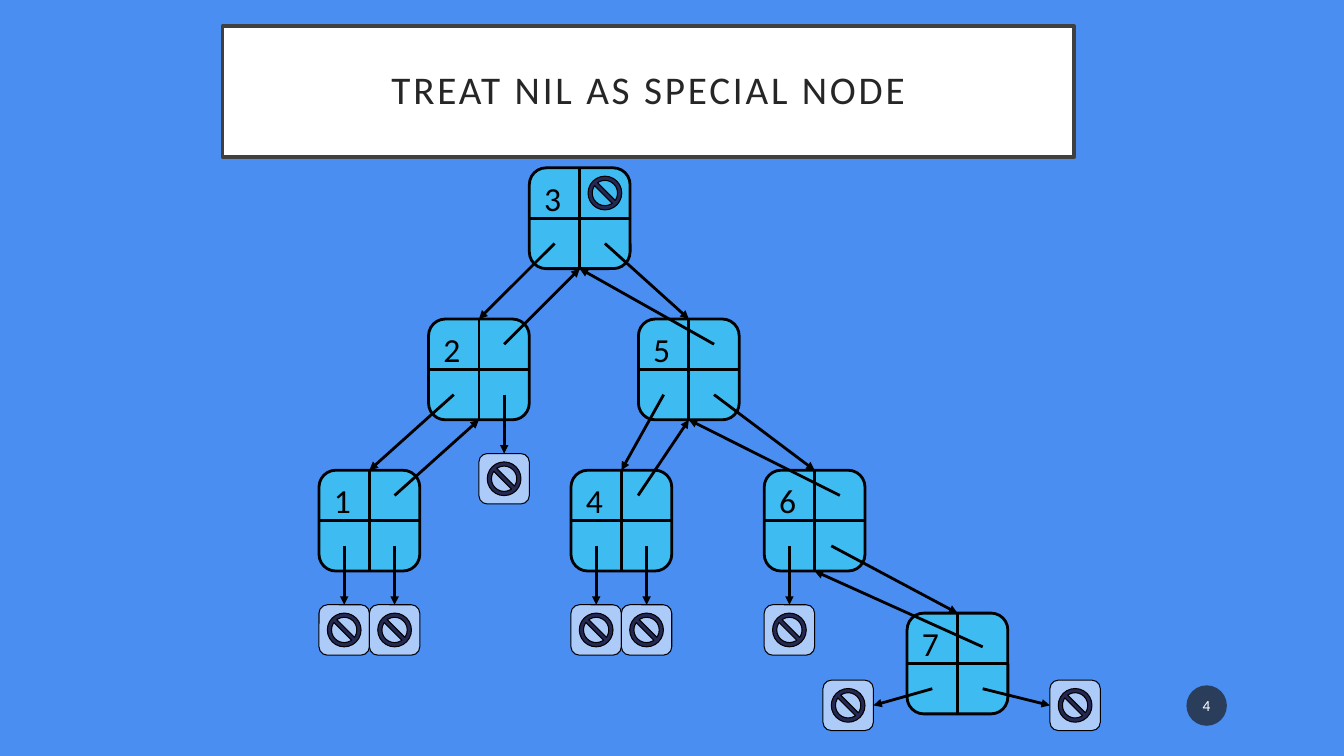
"""Build a slide showing a binary search tree with NIL as a special node."""
import pptx
import pptx.dml.color
import pptx.enum.shapes
import pptx.enum.text
import pptx.oxml
import pptx.oxml.ns
import pptx.util

Cm = pptx.util.Cm
Pt = pptx.util.Pt
RGBColor = pptx.dml.color.RGBColor
SHAPE = pptx.enum.shapes.MSO_SHAPE
ANCHOR = pptx.enum.text.MSO_ANCHOR
ALIGN = pptx.enum.text.PP_ALIGN
qn = pptx.oxml.ns.qn

FONT = "Calibri"
BLUE = RGBColor(0x4A, 0x8E, 0xF2)
NODE_FILL = RGBColor(0x3E, 0xBB, 0xF0)
NIL_FILL = RGBColor(0xAC, 0xCB, 0xF9)
NAVY = RGBColor(0x24, 0x28, 0x52)
BADGE = RGBColor(0x1D, 0x1D, 0x1D)
FRAME = RGBColor(0x40, 0x40, 0x40)
TITLE = RGBColor(0x26, 0x26, 0x26)
WHITE = RGBColor(0xFF, 0xFF, 0xFF)
BLACK = RGBColor(0, 0, 0)

NODE = 2.54
CELL = NODE / 2
LOW, HIGH = NODE / 4, NODE * 3 / 4
SIGN = 0.85

NODES = {
    "3": (13.34, 4.23), "2": (10.8, 8.04), "5": (16.09, 8.04),
    "6": (19.26, 11.85), "4": (14.39, 11.85), "7": (22.86, 15.45),
    "1": (8.04, 11.85),
}
CHILD_LINKS = [
    ("3", "5", HIGH), ("3", "2", LOW), ("5", "6", HIGH),
    ("5", "4", LOW), ("6", "7", 1.69), ("2", "1", LOW),
]
PARENT_LINKS = [
    ("7", "6", HIGH, 0.85), ("6", "5", HIGH, LOW), ("4", "5", 1.69, LOW),
    ("5", "3", HIGH, LOW), ("2", "3", HIGH, LOW), ("1", "2", HIGH, LOW),
]
NILS_BELOW = [("1", LOW), ("1", HIGH), ("2", HIGH),
              ("6", LOW), ("4", LOW), ("4", HIGH)]
NILS_BESIDE = [(LOW, 20.74, CELL), (HIGH, 26.46, 0)]


def add_box(shapes, kind, x, y, w, h, fill, line=None, width=0.75):
    """Add a preset shape with flat fill and optional outline."""
    sp = shapes.add_shape(kind, Cm(x), Cm(y), Cm(w), Cm(h))
    sp.shadow.inherit = False
    sp.fill.solid()
    sp.fill.fore_color.rgb = fill
    if line is None:
        sp.line.fill.background()
    else:
        sp.line.color.rgb = line
        sp.line.width = Pt(width)
    return sp


def add_line(shapes, x1, y1, x2, y2, arrow=False):
    """Add a straight black line, with an arrowhead at its end if asked."""
    cxn = shapes.add_connector(pptx.enum.shapes.MSO_CONNECTOR.STRAIGHT,
                               Cm(x1), Cm(y1), Cm(x2), Cm(y2))
    cxn.line.color.rgb = BLACK
    cxn.line.width = Pt(2)
    if arrow:
        ln = cxn.line._get_or_add_ln()
        ln.append(pptx.oxml.parse_xml(
            '<a:tailEnd xmlns:a="http://schemas.openxmlformats.org/drawingml/2006/main"'
            ' type="triangle"/>'))
    cxn._element.spPr.append(pptx.oxml.xmlchemy.OxmlElement("a:effectLst"))
    return cxn


def add_text(sp, text, size, color, align, anchor, insets):
    """Write one run into a shape with the given horizontal and vertical insets."""
    tf = sp.text_frame
    tf.word_wrap = True
    tf.auto_size = pptx.enum.text.MSO_AUTO_SIZE.NONE
    tf.vertical_anchor = anchor
    tf.margin_left = tf.margin_right = Cm(insets[0])
    tf.margin_top = tf.margin_bottom = Cm(insets[1])
    p = tf.paragraphs[0]
    p.alignment = align
    r = p.add_run()
    r.text = text
    r.font.name = FONT
    r.font.size = Pt(size)
    r.font.color.rgb = color
    return p, r


def add_title(s, x, y, w, h):
    """Frame the title placeholder and write the heading."""
    sp = s.shapes.title
    sp.left, sp.top, sp.width, sp.height = Cm(x), Cm(y), Cm(w), Cm(h)
    sp.fill.solid()
    sp.fill.fore_color.rgb = WHITE
    sp.line.color.rgb = FRAME
    sp.line.width = Pt(2.5)
    p, r = add_text(sp, "TREAT NIL AS SPECIAL NODE", 28, TITLE,
                    ALIGN.CENTER, ANCHOR.MIDDLE, (0.51, 0.51))
    p.line_spacing = 0.9
    r._r.get_or_add_rPr().set("spc", "200")


def add_page_number(s, x, y, size):
    """Add the round, partly transparent page number."""
    sp = add_box(s.shapes, SHAPE.OVAL, x, y, size, size, BADGE)
    clr = sp._element.spPr.find(qn("a:solidFill"))[0]
    alpha = pptx.oxml.xmlchemy.OxmlElement("a:alpha")
    alpha.set("val", "70000")
    clr.append(alpha)
    add_text(sp, "4", 11, WHITE, ALIGN.CENTER, ANCHOR.MIDDLE, (0.05, 0.13))


def add_node(s, key, x, y):
    """Add a tree node: a key and three pointer cells."""
    shapes = s.shapes.add_group_shape().shapes
    sp = add_box(shapes, SHAPE.ROUNDED_RECTANGLE, x, y, NODE, NODE,
                 NODE_FILL, BLACK, 2)
    add_text(sp, key, 24, BLACK, ALIGN.LEFT, ANCHOR.TOP, (0.25, 0.13))
    add_line(shapes, x + CELL, y, x + CELL, y + NODE)
    add_line(shapes, x, y + CELL, x + NODE, y + CELL)


def add_nil_sign(shapes, x, y):
    """Centre the NIL sign in the cell at x, y."""
    gap = (CELL - SIGN) / 2
    sp = add_box(shapes, SHAPE.NO_SYMBOL, x + gap, y + gap, SIGN, SIGN,
                 NAVY, BLACK)
    sp.adjustments[0] = 0.125


def add_nil(s, x, y):
    """Add a NIL node at x, y."""
    shapes = s.shapes.add_group_shape().shapes
    add_box(shapes, SHAPE.ROUNDED_RECTANGLE, x, y, CELL, CELL, NIL_FILL, BLACK)
    add_nil_sign(shapes, x, y)


def add_tree(s):
    """Add the nodes, their child and parent pointers, and the NIL nodes."""
    for key, (x, y) in NODES.items():
        add_node(s, key, x, y)
    for parent, child, dx in CHILD_LINKS:
        (px, py), (cx, cy) = NODES[parent], NODES[child]
        add_line(s.shapes, px + dx, py + HIGH, cx + CELL, cy, True)
    for child, parent, dx, dy in PARENT_LINKS:
        (cx, cy), (px, py) = NODES[child], NODES[parent]
        add_line(s.shapes, cx + dx, cy + dy, px + CELL, py + NODE, True)
    root_x, root_y = NODES["3"]
    add_nil_sign(s.shapes, root_x + CELL, root_y)
    for key, dx in NILS_BELOW:
        x, y = NODES[key]
        nil_y = y + NODE + 0.85
        add_nil(s, x + dx - CELL / 2, nil_y)
        add_line(s.shapes, x + dx, y + HIGH, x + dx, nil_y, True)
    x, y = NODES["7"]
    nil_y = y + 1.69
    for dx, nil_x, side in NILS_BESIDE:
        add_nil(s, nil_x, nil_y)
        add_line(s.shapes, x + dx, y + HIGH, nil_x + side, nil_y + CELL / 2, True)


prs = pptx.Presentation()
prs.slide_width, prs.slide_height = Cm(33.87), Cm(19.05)
s = prs.slides.add_slide(prs.slide_layouts[5])
s.background.fill.solid()
s.background.fill.fore_color.rgb = BLUE
add_page_number(s, 29.9, 17.27, 1.02)
add_title(s, 5.61, 0.66, 21.46, 3.3)
add_tree(s)
prs.save("out.pptx")
